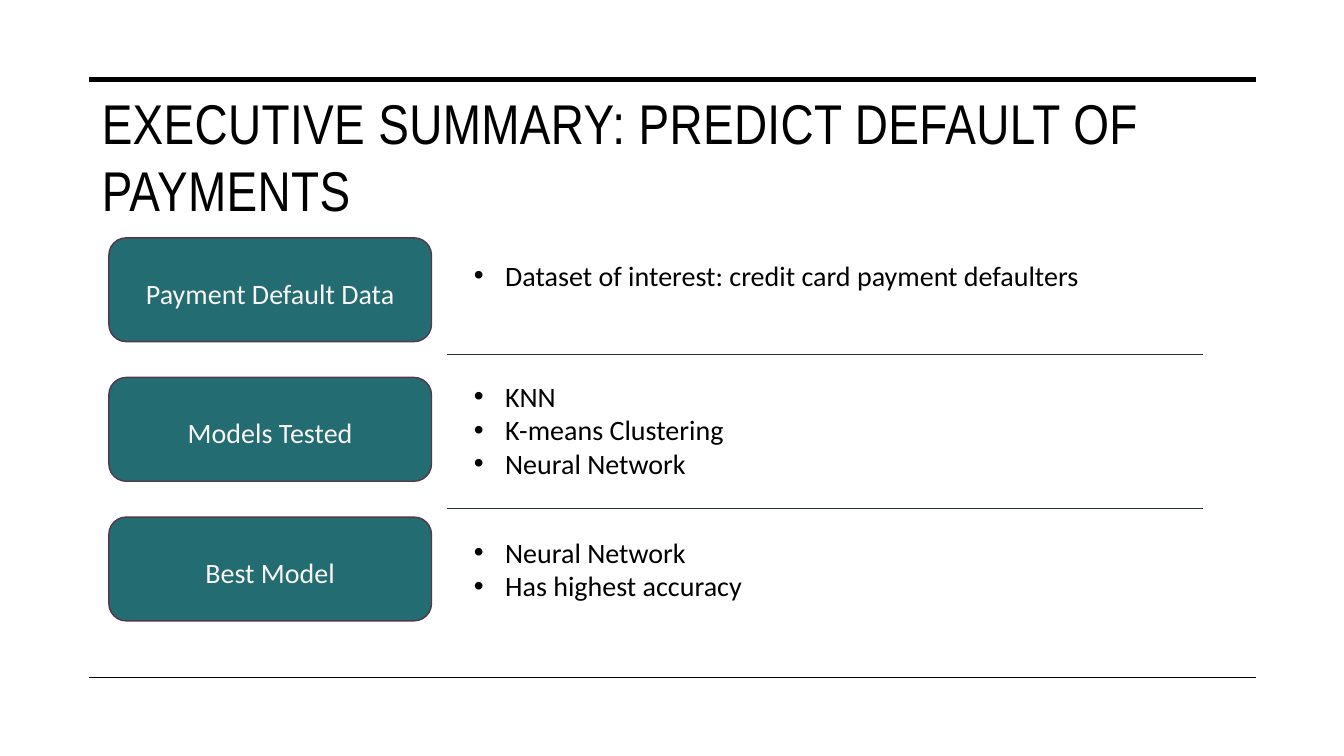
from dataclasses import dataclass

from lxml.etree import SubElement
from pptx import Presentation
from pptx.dml.color import RGBColor
from pptx.enum.shapes import MSO_CONNECTOR, MSO_SHAPE
from pptx.enum.text import MSO_ANCHOR, MSO_AUTO_SIZE, PP_ALIGN
from pptx.oxml.ns import qn
from pptx.shapes.placeholder import SlidePlaceholder
from pptx.slide import Slide
from pptx.text.text import TextFrame, _Paragraph
from pptx.util import Inches, Pt


@dataclass(frozen=True)
class Theme:
    ink: RGBColor = RGBColor.from_string("000000")
    teal: RGBColor = RGBColor.from_string("236C72")
    plum: RGBColor = RGBColor.from_string("55374C")
    cream: RGBColor = RGBColor.from_string("F8F4F1")
    divider: RGBColor = RGBColor.from_string("203232")
    title_font: str = "Arial Narrow"
    body_font: str = "Calibri"
    title_size: int = 40
    body_size: int = 20


@dataclass(frozen=True)
class Topic:
    label: str
    points: tuple[str, ...]
    list_top: float
    list_height: float


@dataclass(frozen=True)
class Rule:
    left: float
    right: float
    top: float
    color: RGBColor
    weight: float


THEME = Theme()
COMPARISON_LAYOUT = 4
BOX_TOP, BOX_PITCH = 2.36, 1.385
BULLET_INDENT = Inches(0.31)

TOPICS = (
    Topic("Payment Default Data",
          ("Dataset of interest: credit card payment defaulters",), 2.51, 0.77),
    Topic("Models Tested",
          ("KNN", "K-means Clustering", "Neural Network"), 3.71, 1.11),
    Topic("Best Model", ("Neural Network", "Has highest accuracy"), 5.26, 0.77),
)
RULES = (
    Rule(0.88, 12.46, 0.79, THEME.ink, 3.5),
    Rule(0.88, 12.46, 6.72, THEME.ink, 1),
    Rule(4.43, 11.93, 3.52, THEME.divider, 0.5),
    Rule(4.43, 11.93, 5.04, THEME.divider, 0.5),
)


def set_font(para: _Paragraph, name: str, size: int, color: RGBColor) -> None:
    para.font.name = name
    para.font.size = Pt(size)
    para.font.bold = False
    para.font.color.rgb = color


def set_frame(frame: TextFrame, anchor: MSO_ANCHOR) -> None:
    frame.word_wrap = True
    frame.auto_size = MSO_AUTO_SIZE.NONE
    frame.vertical_anchor = anchor


def place(holder: SlidePlaceholder, left: float, top: float,
          width: float, height: float) -> None:
    holder.left, holder.top = Inches(left), Inches(top)
    holder.width, holder.height = Inches(width), Inches(height)


def add_bullet(para: _Paragraph) -> None:
    properties = para._p.get_or_add_pPr()
    properties.set("marL", str(BULLET_INDENT))
    properties.set("indent", str(-BULLET_INDENT))
    SubElement(properties, qn("a:buFont")).set("typeface", "Arial")
    SubElement(properties, qn("a:buChar")).set("char", "•")


def write_title(page: Slide) -> None:
    title = page.shapes.title
    place(title, 0.91, 0.79, 11.69, 1.5)
    title.text = "EXECUTIVE SUMMARY: PREDICT DEFAULT OF PAYMENTS"
    set_frame(title.text_frame, MSO_ANCHOR.MIDDLE)
    para = title.text_frame.paragraphs[0]
    para.alignment = PP_ALIGN.LEFT
    set_font(para, THEME.title_font, THEME.title_size, THEME.ink)
    para._p.pPr.find(qn("a:defRPr")).set("spc", "30")


def draw_label(page: Slide, label: str, top: float) -> None:
    box = page.shapes.add_shape(MSO_SHAPE.ROUNDED_RECTANGLE, Inches(1.08),
                                Inches(top), Inches(3.2), Inches(1.03))
    box.shadow.inherit = False
    box.fill.solid()
    box.fill.fore_color.rgb = THEME.teal
    box.line.color.rgb = THEME.plum
    box.line.width = Pt(1)
    box.text_frame.text = label
    set_frame(box.text_frame, MSO_ANCHOR.MIDDLE)
    para = box.text_frame.paragraphs[0]
    para.alignment = PP_ALIGN.CENTER
    para.line_spacing = 1.2
    set_font(para, THEME.body_font, THEME.body_size, THEME.cream)


def write_points(holder: SlidePlaceholder, topic: Topic) -> None:
    place(holder, 4.6, topic.list_top, 6.32, topic.list_height)
    holder.text = "\n".join(topic.points)
    set_frame(holder.text_frame, MSO_ANCHOR.TOP)
    for para in holder.text_frame.paragraphs:
        add_bullet(para)
        para.space_before = Pt(0)
        set_font(para, THEME.body_font, THEME.body_size, THEME.ink)


def draw_rule(page: Slide, rule: Rule) -> None:
    line = page.shapes.add_connector(
        MSO_CONNECTOR.STRAIGHT, Inches(rule.left), Inches(rule.top),
        Inches(rule.right), Inches(rule.top))
    line.line.color.rgb = rule.color
    line.line.width = Pt(rule.weight)
    SubElement(line._element.spPr, qn("a:effectLst"))


def main() -> None:
    deck = Presentation()
    deck.slide_width, deck.slide_height = Inches(13.33), Inches(7.5)
    page = deck.slides.add_slide(deck.slide_layouts[COMPARISON_LAYOUT])
    write_title(page)

    _, *list_holders = page.placeholders
    for row, (topic, holder) in enumerate(zip(TOPICS, list_holders)):
        draw_label(page, topic.label, BOX_TOP + row * BOX_PITCH)
        write_points(holder, topic)
    for unused in list_holders[len(TOPICS):]:
        unused._element.getparent().remove(unused._element)

    for rule in RULES:
        draw_rule(page, rule)
    deck.save("out.pptx")


if __name__ == "__main__":
    main()
